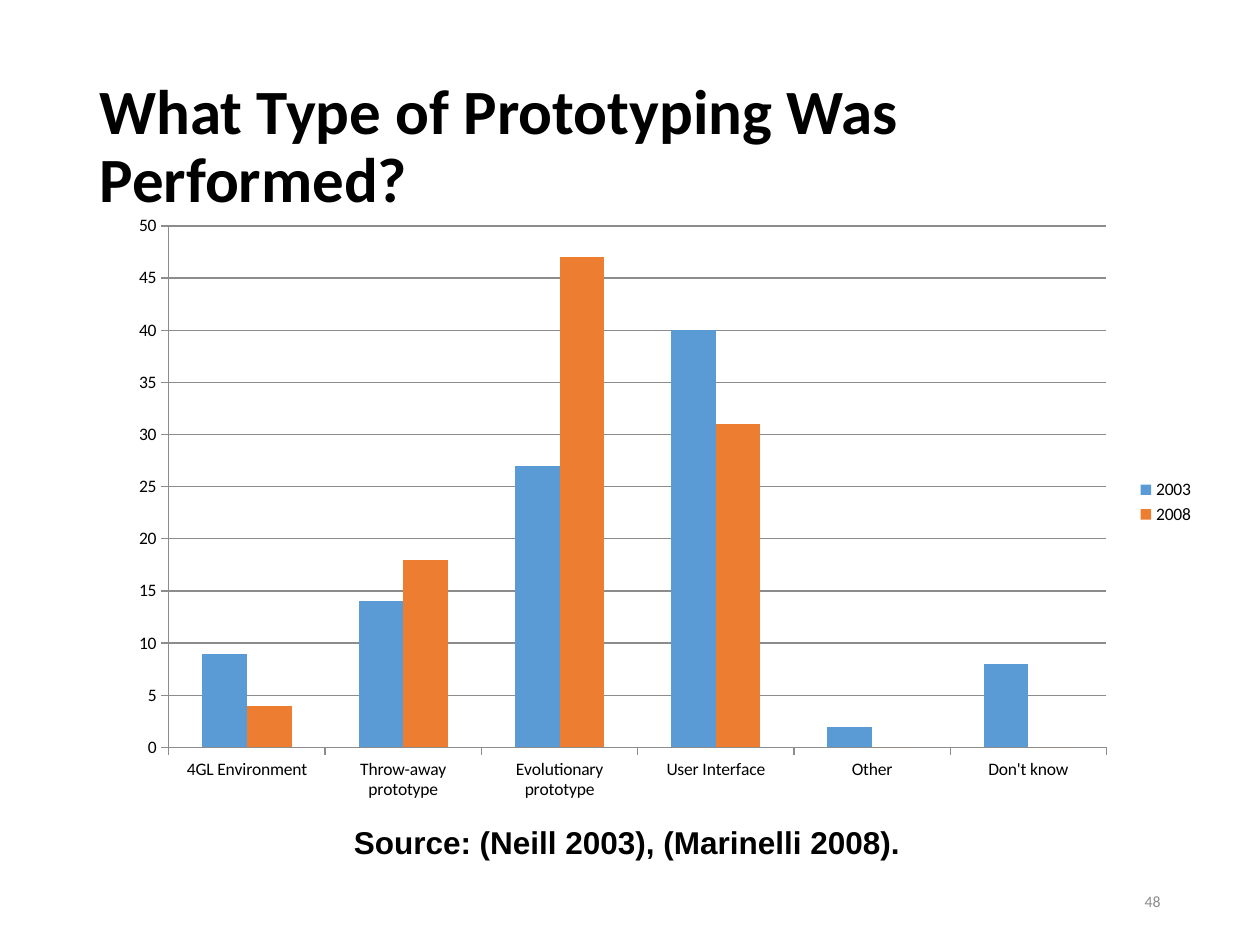
from lxml import etree
from pptx import Presentation
from pptx.chart.data import CategoryChartData
from pptx.dml.color import RGBColor
from pptx.enum.chart import XL_CHART_TYPE, XL_LEGEND_POSITION, XL_TICK_MARK
from pptx.enum.text import MSO_ANCHOR, MSO_AUTO_SIZE, PP_ALIGN
from pptx.util import Inches, Pt

COLUMNS = XL_CHART_TYPE.COLUMN_CLUSTERED
LEGEND_RIGHT = XL_LEGEND_POSITION.RIGHT
TICK_OUTSIDE, TICK_NONE = XL_TICK_MARK.OUTSIDE, XL_TICK_MARK.NONE
MIDDLE, TOP = MSO_ANCHOR.MIDDLE, MSO_ANCHOR.TOP
LEFT, RIGHT = PP_ALIGN.LEFT, PP_ALIGN.RIGHT

# Content
TITLE = "What Type of Prototyping Was Performed?"
SOURCE = "Source: (Neill 2003), (Marinelli 2008)."
PAGE_NUMBER = "48"
CATEGORIES = ["4GL Environment", "Throw-away prototype", "Evolutionary prototype",
              "User Interface", "Other", "Don't know"]
SERIES = [
    ("2003", [9, 14, 27, 40, 2, 8], "5B9BD5"),
    ("2008", [4, 18, 47, 31, 0, 0], "ED7D31"),
]
PLOT_AREA = {"x": 0.07, "y": 0.05, "w": 0.84, "h": 0.85}
AXIS_GRAY = "8C8C8C"


def color(hex_code):
    return RGBColor.from_string(hex_code)


def set_font(font, name, size, hex_code, bold=False):
    font.name, font.size, font.bold = name, Pt(size), bold
    font.color.rgb = color(hex_code)


def write(shape, text, box, font="Calibri", size=18, hex_code="000000", bold=False,
          align=LEFT, anchor=MIDDLE, spacing=None, wrap=True):
    shape.left, shape.top, shape.width, shape.height = map(Inches, box)
    frame = shape.text_frame
    frame.word_wrap, frame.vertical_anchor = wrap, anchor
    frame.auto_size = MSO_AUTO_SIZE.NONE if wrap else MSO_AUTO_SIZE.SHAPE_TO_FIT_TEXT
    paragraph = frame.paragraphs[0]
    paragraph.alignment, paragraph.line_spacing = align, spacing
    run = paragraph.add_run()
    run.text = text
    set_font(run.font, font, size, hex_code, bold)


def set_plot_layout(chart, fractions):
    plot_area = chart._chartSpace.chart.plotArea
    namespace = plot_area.nsmap["c"]
    for old in plot_area.findall(f"{{{namespace}}}layout"):
        plot_area.remove(old)
    layout = etree.Element(f"{{{namespace}}}layout")
    manual = etree.SubElement(layout, f"{{{namespace}}}manualLayout")
    settings = [("layoutTarget", "inner"), ("xMode", "edge"), ("yMode", "edge")]
    for tag, value in settings + list(fractions.items()):
        etree.SubElement(manual, f"{{{namespace}}}{tag}").set("val", str(value))
    plot_area.insert(0, layout)


def gray_line(line):
    line.color.rgb = color(AXIS_GRAY)
    line.width = Pt(0.75)


def add_column_chart(slide, box):
    data = CategoryChartData()
    data.categories = CATEGORIES
    for name, values, _ in SERIES:
        data.add_series(name, values)
    chart = slide.shapes.add_chart(COLUMNS, *map(Inches, box), data).chart
    set_font(chart.font, "Calibri", 10, "000000")
    chart.has_title = False
    chart.has_legend = True
    chart.legend.position = LEGEND_RIGHT
    chart.legend.include_in_layout = False

    plot = chart.plots[0]
    plot.gap_width, plot.overlap, plot.vary_by_categories = 150, 0, False
    for series, (_, _, hex_code) in zip(plot.series, SERIES):
        series.format.fill.solid()
        series.format.fill.fore_color.rgb = color(hex_code)

    for axis in (chart.category_axis, chart.value_axis):
        axis.major_tick_mark, axis.minor_tick_mark = TICK_OUTSIDE, TICK_NONE
        gray_line(axis.format.line)
    value_axis = chart.value_axis
    value_axis.minimum_scale, value_axis.maximum_scale, value_axis.major_unit = 0, 50, 5
    value_axis.has_major_gridlines = True
    gray_line(value_axis.major_gridlines.format.line)
    set_plot_layout(chart, PLOT_AREA)


def main():
    presentation = Presentation()
    presentation.slide_width, presentation.slide_height = Inches(10), Inches(7.5)
    slide = presentation.slides.add_slide(presentation.slide_layouts[5])

    # Title
    write(slide.shapes.title, TITLE, (0.69, 0.77, 8.62, 0.81),
          size=36, bold=True, spacing=0.9)

    # Chart
    add_column_chart(slide, (0.72, 1.55, 8.86, 4.87))

    # Source line and page number
    source, number = (slide.shapes.add_textbox(0, 0, 0, 0) for _ in range(2))
    write(source, SOURCE, (2.71, 6.48, 4.58, 0.4), font="Arial", bold=True,
          anchor=TOP, wrap=False)
    write(number, PAGE_NUMBER, (7.06, 6.95, 2.25, 0.4), size=9,
          hex_code=AXIS_GRAY, align=RIGHT)

    presentation.save("out.pptx")


if __name__ == "__main__":
    main()
